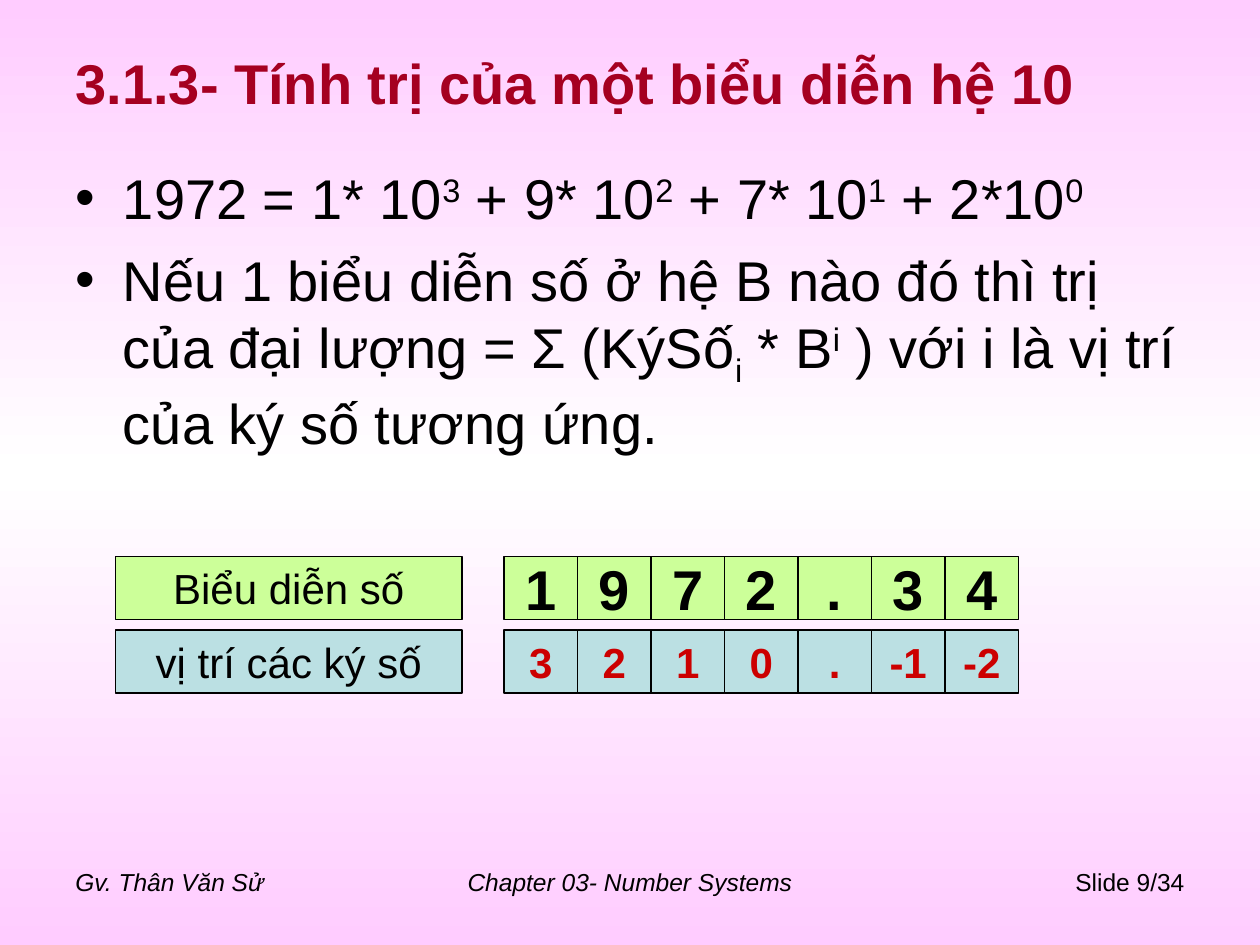
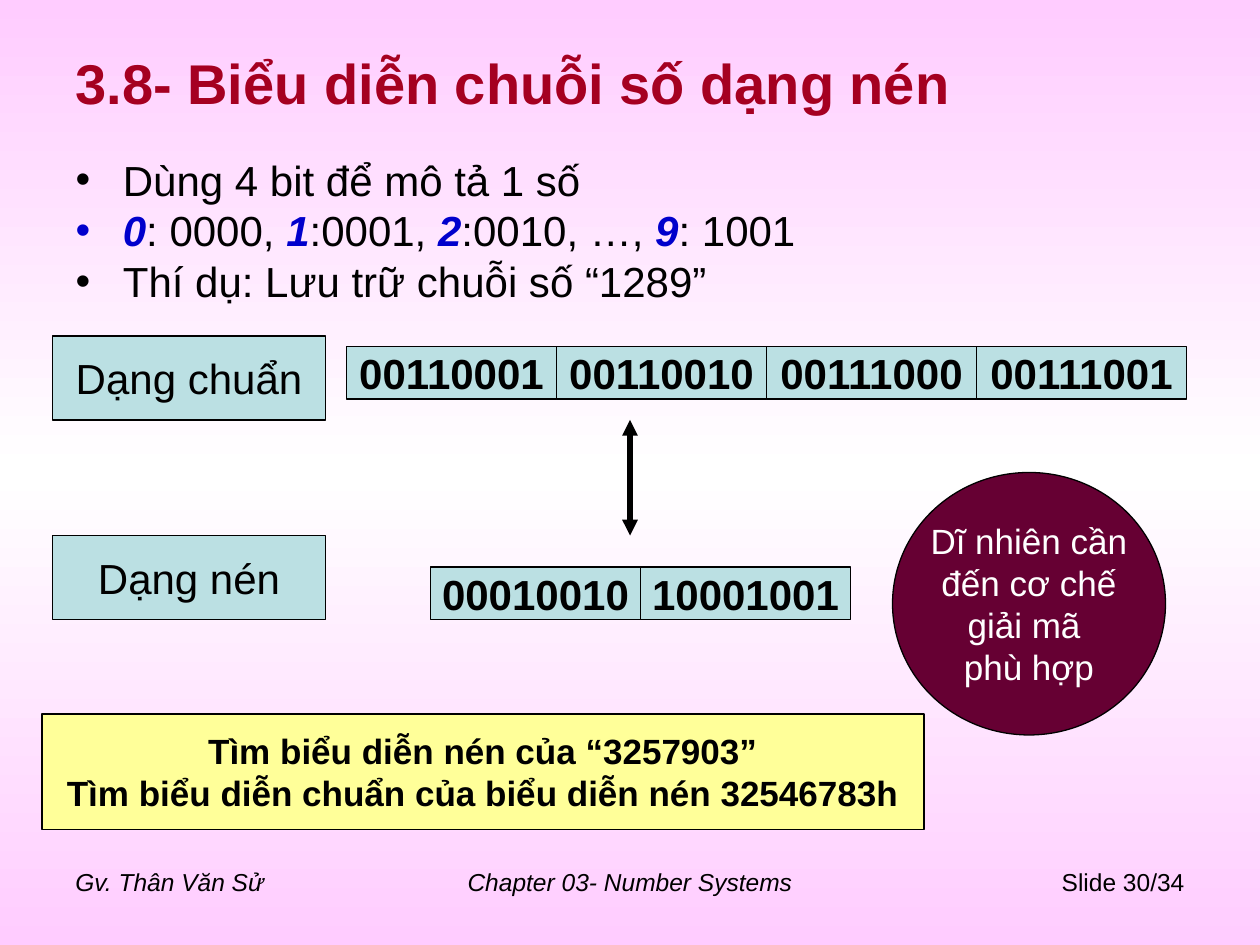
"""Build two lecture slides on number systems."""
import copy

import pptx
import pptx.dml.color
import pptx.enum.shapes
import pptx.enum.text
import pptx.oxml
import pptx.oxml.ns
import pptx.util

Pt = pptx.util.Pt
ALIGN = pptx.enum.text.PP_ALIGN
SHAPES = pptx.enum.shapes.MSO_SHAPE

FONT = "Arial"
BLACK, WHITE = "000000", "FFFFFF"
PINK, CRIMSON, RED, BLUE = "FFCCFF", "A50021", "CC0000", "0000CC"
GREEN, TEAL, YELLOW, PLUM = "CCFF99", "BBE0E3", "FFFF99", "660033"

RAISED, LOWERED = {"baseline": 30000}, {"baseline": -25000}
DIGIT = {"color": BLUE, "bold": True, "italic": True}

TITLE_AREA = (36, 21.6, 648, 50.4)
FOOTER_TOP, FOOTER_HEIGHT = 492, 37.5
FOOTERS = [
    ("Gv. Thân Văn Sử", 36, 168, ALIGN.LEFT, True),
    ("Chapter 03- Number Systems", 222, 276, ALIGN.CENTER, True),
    ("Slide {number}/34", 516, 168, ALIGN.RIGHT, False),
]

SLIDES = [
    {
        "number": 9,
        "title": "3.1.3- Tính trị của một biểu diễn hệ 10",
        "bullets": [
            [("1972 = 1* 10", {}), ("3", RAISED), (" + 9* 10", {}), ("2", RAISED),
             (" + 7* 10", {}), ("1", RAISED), (" + 2*10", {}), ("0", RAISED)],
            [("Nếu 1 biểu diễn số ở hệ B nào đó thì trị của đại lượng = Σ (KýSố", {}),
             ("i", LOWERED), (" * B", {}), ("i", RAISED),
             (" ) với i là vị trí của ký số tương ứng.", {})],
        ],
        "body_height": 192,
        "body_format": {"size": 32, "space_before": 8},
        "rows": [
            (["1", "9", "7", "2", ".", "3", "4"], (288, 318, 42, 36), GREEN, {"size": 32}),
            (["3", "2", "1", "0", ".", "-1", "-2"], (288, 360, 42, 36), TEAL, {"color": RED}),
        ],
        "boxes": [
            (["Biểu diễn số"], SHAPES.RECTANGLE, (66, 318, 198, 36), GREEN, {}),
            (["vị trí các ký số"], SHAPES.RECTANGLE, (66, 360, 198, 36), TEAL, {}),
        ],
        "arrows": [],
    },
    {
        "number": 30,
        "title": "3.8- Biểu diễn chuỗi số dạng nén",
        "bullets": [
            "Dùng 4 bit để mô tả 1 số",
            [("0", DIGIT), (": 0000, ", {}), ("1", DIGIT), (":0001, ", {}),
             ("2", DIGIT), (":0010, …, ", {}), ("9", DIGIT), (": 1001", {})],
            "Thí dụ: Lưu trữ chuỗi số “1289”",
        ],
        "body_height": 96,
        "body_format": {"size": 24, "space_before": 6, "line_spacing": 0.8},
        "rows": [
            (["00110001", "00110010", "00111000", "00111001"], (198, 198, 120, 30), TEAL, {}),
            (["00010010", "10001001"], (246, 324, 120, 30), TEAL, {}),
        ],
        "boxes": [
            (["Dạng chuẩn"], SHAPES.RECTANGLE, (30, 192, 156, 48), TEAL, {}),
            (["Dạng nén"], SHAPES.RECTANGLE, (30, 306, 156, 48), TEAL, {}),
            (["Dĩ nhiên cần", "đến cơ chế", "giải mã ", "phù hợp"],
             SHAPES.OVAL, (510, 270, 156, 150), PLUM, {"size": 20, "color": WHITE}),
            (["Tìm biểu diễn nén của “3257903”",
              "Tìm biểu diễn chuẩn của biểu diễn nén 32546783h"],
             SHAPES.RECTANGLE, (24, 408, 504, 66), YELLOW, {"size": 20, "bold": True}),
        ],
        "arrows": [(360, 240, 360, 306)],
    },
]


def rgb(value):
    return pptx.dml.color.RGBColor.from_string(value)


def points(values):
    return [Pt(value) for value in values]


def format_run(run, size, color, bold, italic, baseline=0):
    font = run.font
    font.name, font.size, font.bold, font.italic = FONT, Pt(size), bold, italic
    font.color.rgb = rgb(color)
    if baseline:
        run._r.get_or_add_rPr().set("baseline", str(baseline))


def write_text(shape, paragraphs, size=24, color=BLACK, bold=False, italic=False,
               align=ALIGN.LEFT, space_before=0, line_spacing=None, wrap=True):
    frame = shape.text_frame
    frame.word_wrap = wrap
    frame.auto_size = pptx.enum.text.MSO_AUTO_SIZE.NONE
    base = {"size": size, "color": color, "bold": bold, "italic": italic}
    for index, content in enumerate(paragraphs):
        paragraph = frame.add_paragraph() if index else frame.paragraphs[0]
        paragraph.alignment = align
        paragraph.space_before = Pt(space_before if index else 0)
        if line_spacing:
            paragraph.line_spacing = line_spacing
        for text, changes in [(content, {})] if isinstance(content, str) else content:
            run = paragraph.add_run()
            run.text = text
            format_run(run, **{**base, **changes})


def place(shape, area):
    shape.left, shape.top, shape.width, shape.height = points(area)


def add_box(slide, paragraphs, kind, area, fill, **text_format):
    shape = slide.shapes.add_shape(kind, *points(area))
    shape.shadow.inherit = False
    shape.fill.solid()
    shape.fill.fore_color.rgb = rgb(fill)
    shape.line.color.rgb = rgb(BLACK)
    shape.line.width = Pt(0.75)
    shape.text_frame.vertical_anchor = pptx.enum.text.MSO_ANCHOR.MIDDLE
    write_text(shape, paragraphs, align=ALIGN.CENTER, wrap=False, **text_format)


def add_row(slide, values, first_area, fill, text_format):
    left, top, width, height = first_area
    for index, value in enumerate(values):
        area = (left + index * width, top, width, height)
        add_box(slide, [value], SHAPES.RECTANGLE, area, fill, bold=True, **text_format)


def add_double_arrow(slide, ends):
    arrow = slide.shapes.add_connector(
        pptx.enum.shapes.MSO_CONNECTOR.STRAIGHT, *points(ends))
    arrow.line.color.rgb = rgb(BLACK)
    arrow.line.width = Pt(3)
    line = arrow.line._get_or_add_ln()
    for tag in ("a:headEnd", "a:tailEnd"):
        end = pptx.oxml.xmlchemy.OxmlElement(tag)
        end.set("type", "triangle")
        line.append(end)
    arrow.element.spPr.append(pptx.oxml.xmlchemy.OxmlElement("a:effectLst"))


def add_footers(slide, number):
    for text, left, width, align, italic in FOOTERS:
        footer = slide.shapes.add_textbox(*points((left, FOOTER_TOP, width, FOOTER_HEIGHT)))
        write_text(footer, [text.format(number=number)], size=14, align=align, italic=italic)


def set_background(master):
    fill = master.background.fill
    fill.gradient()
    fill.gradient_angle = 270
    for stop in fill.gradient_stops:
        stop.color.rgb = rgb(PINK)
    stops = master.element.find(".//" + pptx.oxml.ns.qn("a:gsLst"))
    stops.insert(1, copy.deepcopy(stops[0]))
    middle = fill.gradient_stops[1]
    middle.position = 0.5
    middle.color.rgb = rgb(WHITE)


def build_slide(presentation, content):
    slide = presentation.slides.add_slide(presentation.slide_layouts[1])
    add_footers(slide, content["number"])
    title, body = slide.shapes.title, slide.placeholders[1]
    place(title, TITLE_AREA)
    write_text(title, [content["title"]], size=32, color=CRIMSON, bold=True)
    place(body, (36, 90, 648, content["body_height"]))
    write_text(body, content["bullets"], **content["body_format"])
    for row in content["rows"]:
        add_row(slide, *row)
    for paragraphs, kind, area, fill, text_format in content["boxes"]:
        add_box(slide, paragraphs, kind, area, fill, **text_format)
    for ends in content["arrows"]:
        add_double_arrow(slide, ends)


def main():
    presentation = pptx.Presentation()
    presentation.slide_width, presentation.slide_height = points((720, 540))
    set_background(presentation.slide_master)
    for content in SLIDES:
        build_slide(presentation, content)
    presentation.save("out.pptx")


if __name__ == "__main__":
    main()
